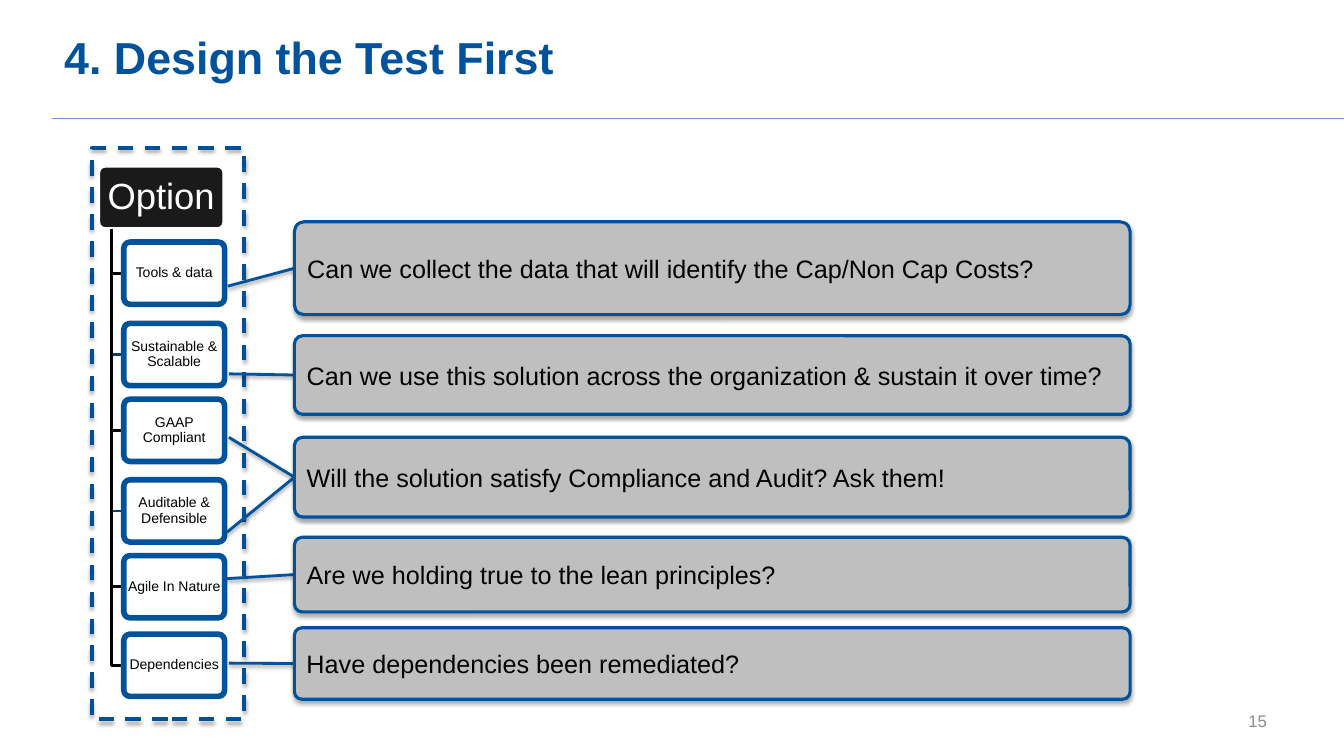
from lxml import etree
from pptx import Presentation
from pptx import util as u
from pptx.dml.color import RGBColor
from pptx.enum import dml, shapes, text
from pptx.oxml import ns

BLUE = RGBColor(0x00, 0x52, 0x9B)
FRAME = RGBColor(0x00, 0x50, 0x98)
NAVY = RGBColor(0x00, 0x42, 0x7C)
RULE = RGBColor(0x6E, 0x96, 0xD5)
BLACK = RGBColor(0x00, 0x00, 0x00)
DARK = RGBColor(0x1A, 0x1A, 0x1A)
GREY = RGBColor(0xBF, 0xBF, 0xBF)
MUTED = RGBColor(0x8C, 0x8C, 0x8C)
WHITE = RGBColor(0xFF, 0xFF, 0xFF)
ROUND = shapes.MSO_SHAPE.ROUNDED_RECTANGLE
MID = text.MSO_ANCHOR.MIDDLE
LEFT, CENTER, RIGHT = text.PP_ALIGN.LEFT, text.PP_ALIGN.CENTER, text.PP_ALIGN.RIGHT

deck = Presentation()
deck.slide_width, deck.slide_height = u.Cm(33.87), u.Cm(19.05)
slide = deck.slides.add_slide(deck.slide_layouts[6])
items = slide.shapes


def block(words, at, kind=None, fill=None, line=None, width=1, adj=None, size=18,
          color=BLACK, bold=False, align=LEFT, anchor=MID, pad=(0.25, 0.13), lead=1.0):
    box = [u.Cm(v) for v in at]
    if kind is None:
        shape = items.add_textbox(*box)
    else:
        shape = items.add_shape(kind, *box)
        shape.shadow.inherit = False
        if fill is None:
            shape.fill.background()
        else:
            shape.fill.solid()
            shape.fill.fore_color.rgb = fill
        shape.line.color.rgb = line
        shape.line.width = u.Pt(width)
    if adj:
        shape.adjustments[0] = adj
    if words:
        frame = shape.text_frame
        frame.word_wrap = True
        frame.vertical_anchor = anchor
        frame.margin_left = frame.margin_right = u.Cm(pad[0])
        frame.margin_top = frame.margin_bottom = u.Cm(pad[1])
        para = frame.paragraphs[0]
        para.alignment, para.line_spacing = align, lead
        run = para.add_run()
        run.text = words
        font = run.font
        font.name, font.size, font.bold = "Arial", u.Pt(size), bold
        font.color.rgb = color
    return shape


def shade(shape, alpha=None, dist=1.8):
    props = shape.element.spPr
    for old in props.findall(ns.qn("a:effectLst")):
        props.remove(old)
    group = etree.SubElement(props, ns.qn("a:effectLst"))
    if alpha:
        drop = etree.SubElement(group, ns.qn("a:outerShdw"), blurRad=str(u.Pt(3.1)),
                                dist=str(u.Pt(dist)), dir="5400000", rotWithShape="0")
        tint = etree.SubElement(drop, ns.qn("a:srgbClr"), val="000000")
        etree.SubElement(tint, ns.qn("a:alpha"), val=str(alpha * 1000))


rule = items.add_connector(shapes.MSO_CONNECTOR.STRAIGHT,
                           u.Cm(1.32), u.Cm(2.98), u.Cm(33.87), u.Cm(2.98))
rule.line.color.rgb, rule.line.width = RULE, u.Pt(1)
shade(rule)

block("4. Design the Test First", (1.37, 1.02, 15.75, 1.35), size=32, color=BLUE,
      bold=True, anchor=text.MSO_ANCHOR.BOTTOM, pad=(0.25, 0.25), lead=0.9)

high = 1.57
block("Option", (2.49, 4.19, 3.15, high), ROUND, DARK, WHITE, 2, adj=0.1, size=26,
      color=WHITE, align=CENTER, pad=(0.13, 0.1), lead=0.9)

tests = [
    ("Tools & data", 6.1, BLACK),
    ("Sustainable & Scalable", 8.15, NAVY),
    ("GAAP Compliant", 10.06, BLACK),
    ("Auditable & Defensible", 12.09, NAVY),
    ("Agile In Nature", 14.0, BLACK),
    ("Dependencies", 15.98, BLACK),
]
for name, top, tone in tests:
    mid = u.Cm(top + high / 2)
    path = items.build_freeform(u.Cm(2.82), u.Cm(5.77))
    path.add_line_segments([(u.Cm(2.82), mid), (u.Cm(3.12), mid)], close=False)
    branch = path.convert_to_shape()
    branch.shadow.inherit = False
    branch.fill.background()
    branch.line.color.rgb, branch.line.width = tone, u.Pt(2)
    block(name, (3.12, top, 2.54, high), ROUND, WHITE, BLUE, 4, adj=0.1, size=10,
          align=CENTER, pad=(0.04, 0.03), lead=0.9)

border = block("", (2.31, 3.73, 3.84, 14.4), shapes.MSO_SHAPE.RECTANGLE,
               line=FRAME, width=2.75)
border.line.dash_style = dml.MSO_LINE.DASH
shade(border, 35)

asks = [
    ("Can we collect the data that will identify the Cap/Non Cap Costs?",
     5.59, 2.34, [(5.74, 7.21)]),
    ("Can we use this solution across the organization & sustain it over time?",
     8.46, 1.98, [(5.77, 9.42)]),
    ("Will the solution satisfy Compliance and Audit? Ask them!",
     11.02, 2.01, [(5.77, 11.02), (5.72, 13.41)]),
    ("Are we holding true to the lean principles?", 13.54, 1.88, [(5.72, 14.58)]),
    ("Have dependencies been remediated?", 15.82, 1.8, [(5.77, 16.71)]),
]
for ask, top, tall, starts in asks:
    for x, y in starts:
        link = items.add_connector(shapes.MSO_CONNECTOR.STRAIGHT, u.Cm(x), u.Cm(y),
                                   u.Cm(7.42), u.Cm(top + tall / 2))
        link.line.color.rgb, link.line.width = BLUE, u.Pt(2)
        shade(link, 38, 1.6)
    card = block(ask, (7.42, top, 21.06, tall), ROUND, GREY, BLUE, 2.25, adj=0.105)
    shade(card, 35)

block("15", (24.28, 17.65, 7.9, 1.02), size=12, color=MUTED, align=RIGHT)

deck.save("out.pptx")
